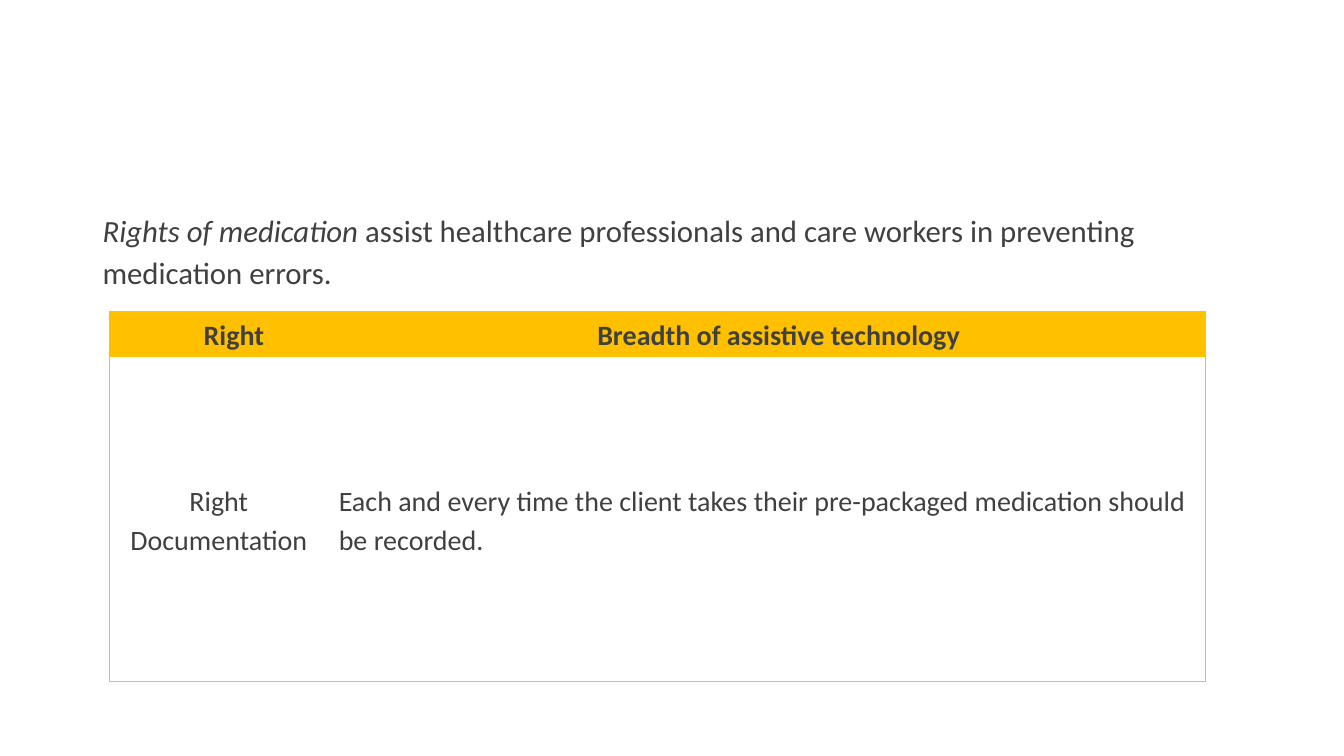
import pptx
import pptx.dml.color
import pptx.enum.text
import pptx.oxml.ns
import pptx.util
from lxml import etree
from pptx.util import Inches

FONT = "Calibri"
TEXT_COLOUR = "404040"
GOLD = "FFC000"
CENTER = pptx.enum.text.PP_ALIGN.CENTER
LEFT = pptx.enum.text.PP_ALIGN.LEFT
ROWS = [
    ["Right", "Breadth of assistive technology "],
    ["Right Documentation",
     "Each and every time the client takes their pre-packaged medication should be recorded."],
]
COLUMN_WIDTHS = [2.18, 8.69]
ROW_HEIGHTS = [0.44, 3.23]


def colour(value):
    return pptx.dml.color.RGBColor.from_string(value)


def format_paragraph(paragraph, size, alignment=LEFT, bold=False):
    paragraph.alignment = alignment
    paragraph.line_spacing = 1.14
    paragraph.space_before = pptx.util.Pt(0)
    paragraph.space_after = pptx.util.Pt(6)
    for run in paragraph.runs:
        run.font.name = FONT
        run.font.size = pptx.util.Pt(size)
        run.font.bold = bold
        run.font.color.rgb = colour(TEXT_COLOUR)


def set_borders(cell, gold_sides):
    """Draw the named sides in gold and hide the others."""
    properties = cell._tc.get_or_add_tcPr()
    for side in "LRTB":
        line = etree.SubElement(properties, pptx.oxml.ns.qn(f"a:ln{side}"))
        line.set("w", str(pptx.util.Pt(0.5)))
        if side in gold_sides:
            fill = etree.SubElement(line, pptx.oxml.ns.qn("a:solidFill"))
            etree.SubElement(fill, pptx.oxml.ns.qn("a:srgbClr")).set("val", GOLD)
        else:
            etree.SubElement(line, pptx.oxml.ns.qn("a:noFill"))


def add_introduction(slide):
    box = slide.shapes.add_textbox(Inches(0.92), Inches(2), Inches(11.03), Inches(1))
    box.text_frame.word_wrap = True
    paragraph = box.text_frame.paragraphs[0]
    term = paragraph.add_run()
    term.text = "Rights of medication "
    explanation = paragraph.add_run()
    explanation.text = ("assist healthcare professionals and care workers "
                        "in preventing medication errors.")
    format_paragraph(paragraph, 22)
    term.font.italic = True


def fill_cell(cell, text, is_header, is_first_column):
    cell.vertical_anchor = pptx.enum.text.MSO_ANCHOR.MIDDLE
    cell.text_frame.text = text
    paragraph = cell.text_frame.paragraphs[0]
    alignment = CENTER if is_header or is_first_column else LEFT
    format_paragraph(paragraph, 20, alignment, is_header)
    set_borders(cell, ("L" if is_first_column else "R") + ("T" if is_header else "TB"))
    if is_header:
        cell.margin_left = cell.margin_right = Inches(0.07)
        cell.margin_top = cell.margin_bottom = 0
        paragraph_properties = paragraph._p.get_or_add_pPr()
        paragraph_properties.set("marL", str(Inches(0.55)))
        paragraph_properties.set("indent", str(Inches(-0.25)))
        cell.fill.solid()
        cell.fill.fore_color.rgb = colour(GOLD)
    else:
        cell.fill.background()


def add_rights_table(slide):
    frame = slide.shapes.add_table(len(ROWS), len(COLUMN_WIDTHS), Inches(1.08), Inches(3.09),
                                   Inches(sum(COLUMN_WIDTHS)), Inches(sum(ROW_HEIGHTS)))
    table = frame.table
    table.first_row = False
    table.horz_banding = False
    for column, width in zip(table.columns, COLUMN_WIDTHS):
        column.width = Inches(width)
    for row_index, texts in enumerate(ROWS):
        table.rows[row_index].height = Inches(ROW_HEIGHTS[row_index])
        for column_index, text in enumerate(texts):
            fill_cell(table.cell(row_index, column_index), text,
                      row_index == 0, column_index == 0)


def main():
    presentation = pptx.Presentation()
    presentation.slide_width = Inches(13.33)
    presentation.slide_height = Inches(7.5)
    slide = presentation.slides.add_slide(presentation.slide_layouts[6])

    # Introductory sentence
    add_introduction(slide)

    # Table of medication rights
    add_rights_table(slide)

    presentation.save("out.pptx")


if __name__ == "__main__":
    main()
